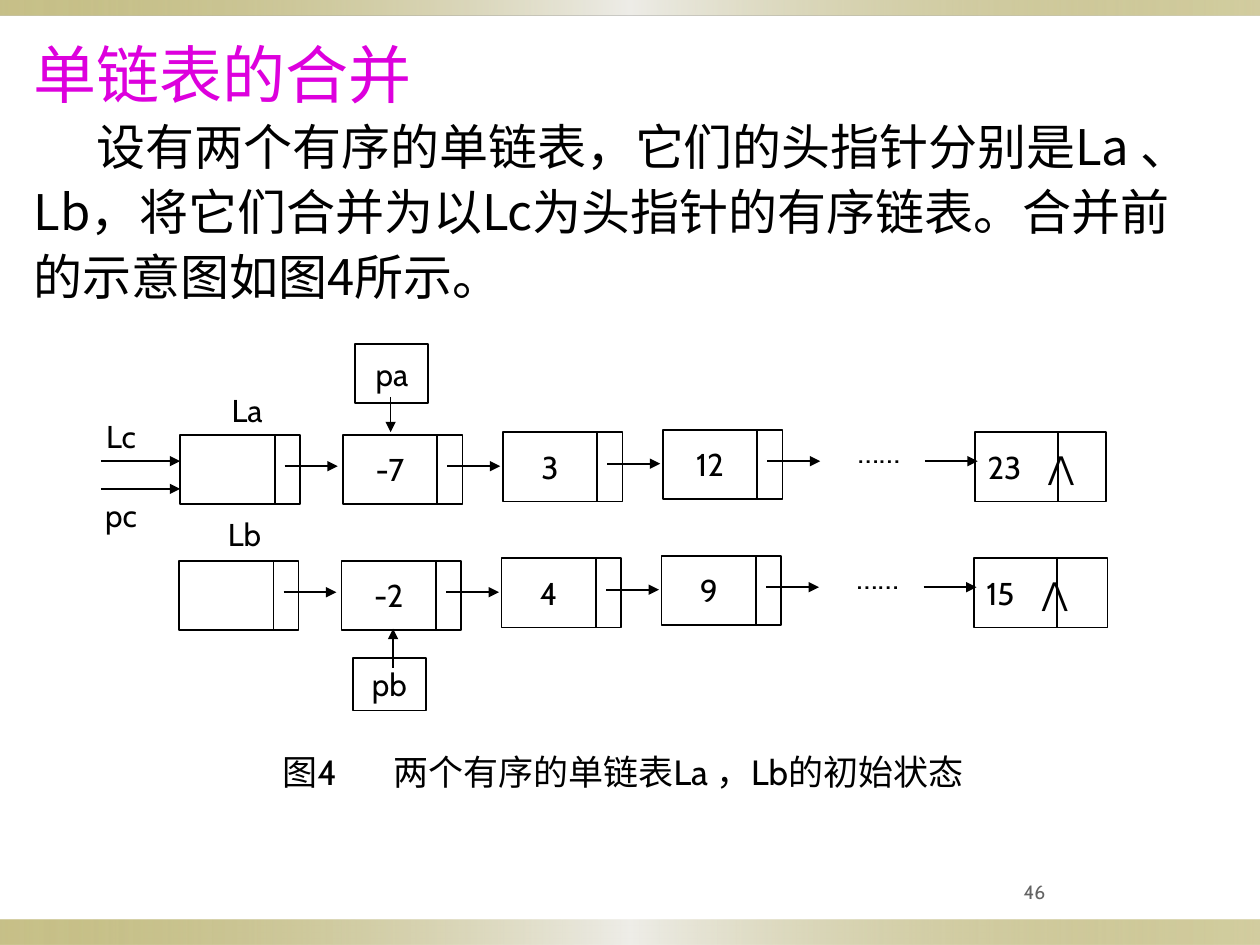
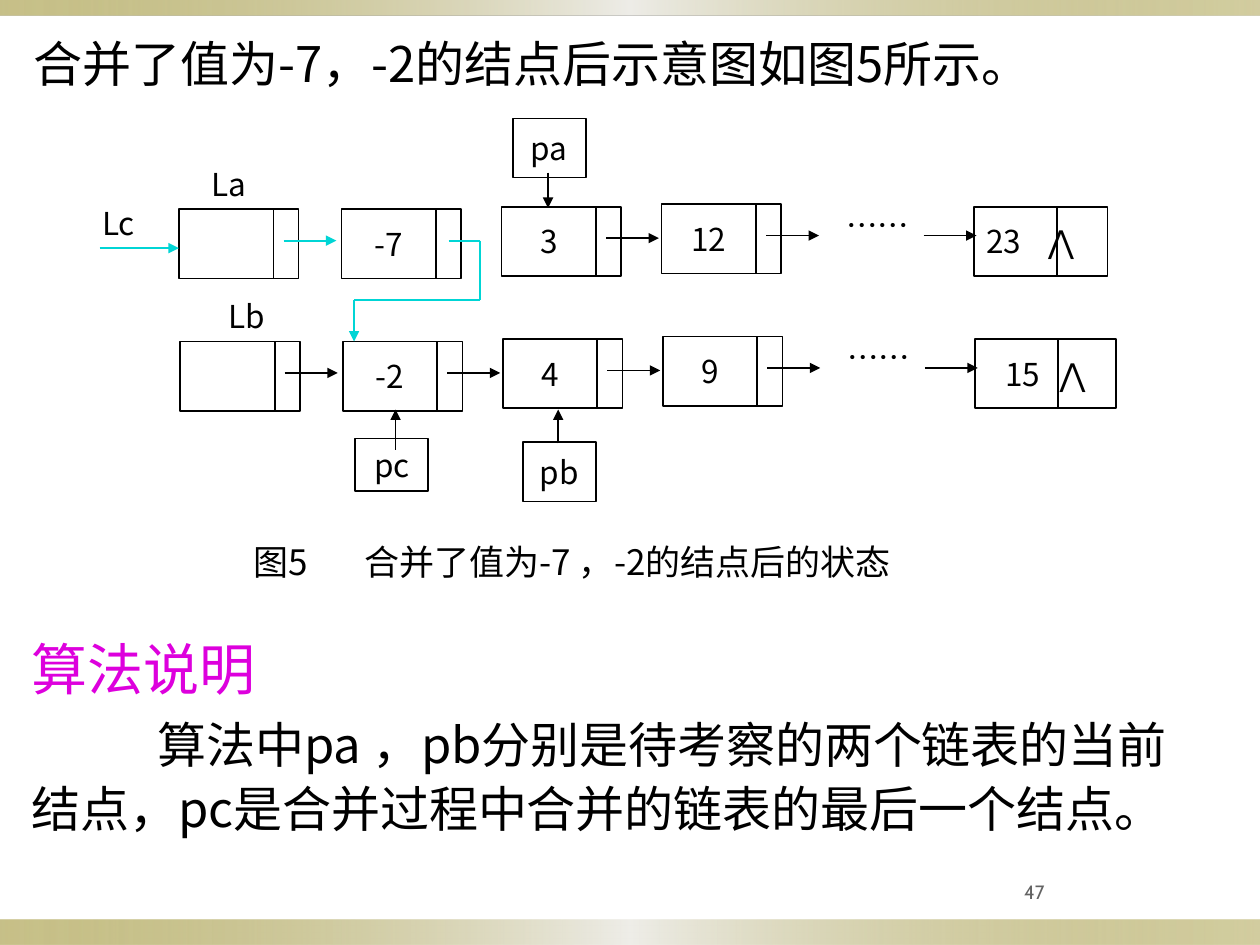
from itertools import pairwise
from lxml import etree
from pptx import Presentation
from pptx.dml.color import RGBColor
from pptx.enum.shapes import MSO_CONNECTOR, MSO_SHAPE
from pptx.enum.text import MSO_ANCHOR, PP_ALIGN
from pptx.oxml import parse_xml
from pptx.oxml.ns import nsdecls, qn
from pptx.util import Inches, Pt

BLACK = RGBColor(0x00, 0x00, 0x00)
MAGENTA = RGBColor(0xDD, 0x00, 0xDD)
CYAN = RGBColor(0x00, 0xD5, 0xD5)
GREY = RGBColor(0x63, 0x63, 0x63)
BAND_STOPS = [(0, "918415", 50), (50, "EEEDE8", 100), (100, "918415", 40)]
CJK, LATIN = "Noto Sans CJK SC", "Cabin"

# Paragraphs: text, size, colour, first-line indent, space before
# Lists: head corner, values, (last value, its indent, tab to the end mark), last width, link colours
# Labels and pointers: text, box; lines: points, colour
SLIDES = [
    dict(
        page="46", font=LATIN,
        texts=[((0.17, 0.17, 9.58, 2.42), [
            ("单链表的合并", 36, MAGENTA, 0, 4),
            ("设有两个有序的单链表，它们的头指针分别是La 、 Lb，将它们合并为以Lc为头指针的有序链表。"
             "合并前的示意图如图4所示。", 28, BLACK, 0.5, 0)])],
        caption=((2, 5.88, 6.15, 0.49), "图4\t两个有序的单链表La ，Lb的初始状态"),
        lists=[
            ((1.43, 3.45), ["", "-7", "3", "12"], ("23", 0.1, 0.48), 1.04, [BLACK] * 4),
            ((1.42, 4.45), ["", "-2", "4", "9"], ("15", 0.1, 0.44), 1.06, [BLACK] * 4),
        ],
        labels=[("La", (1.5, 3, 0.92, 0.5)), ("Lb", (1.48, 3.99, 0.92, 0.5)),
                ("Lc", (0.67, 3.25, 0.58, 0.42)), ("pc", (0.67, 3.88, 0.58, 0.42))],
        pointers=[("pa", (2.82, 2.73, 0.58, 0.47)), ("pb", (2.8, 5.22, 0.58, 0.42))],
        lines=[
            ([(0.8, 3.66), (1.43, 3.66)], BLACK),
            ([(0.8, 3.88), (1.43, 3.88)], BLACK),
            ([(3.1, 3.15), (3.1, 3.43)], BLACK),
            ([(3.12, 5.3), (3.12, 4.99)], BLACK),
        ],
    ),
    dict(
        page="47", font=CJK,
        texts=[
            ((0.17, 0.17, 9.58, 0.67), [
                ("合并了值为-7，-2的结点后示意图如图5所示。", 28, BLACK, 0, 4)]),
            ((0.15, 4.93, 9.58, 1.81), [
                ("算法说明", 32, MAGENTA, 0, 4),
                ("算法中pa ，pb分别是待考察的两个链表的当前结点，"
                 "pc是合并过程中合并的链表的最后一个结点。", 28, BLACK, 1, 4)])],
        caption=((1.77, 4.22, 5.83, 0.47), "图5\t合并了值为-7 ，-2的结点后的状态"),
        lists=[
            ((1.42, 1.66), ["", "-7", "3", "12"], ("23", 0.1, 0.49), 1.06,
             [CYAN, None, BLACK, BLACK]),
            ((1.43, 2.71), ["", "-2", "4", "9"], ("15", 0.24, 0.43), 1.12, [BLACK] * 4),
        ],
        labels=[("La", (1.48, 1.21, 0.68, 0.5)), ("Lb", (1.5, 2.26, 0.92, 0.5)),
                ("Lc", (0.65, 1.56, 0.58, 0.42))],
        pointers=[("pa", (4.07, 0.94, 0.58, 0.47)), ("pc", (2.82, 3.48, 0.58, 0.42)),
                  ("pb", (4.15, 3.51, 0.58, 0.47))],
        lines=[
            ([(0.79, 1.97), (1.42, 1.97)], CYAN),
            ([(3.56, 1.91), (3.81, 1.91), (3.81, 2.38), (2.81, 2.38), (2.81, 2.71)], CYAN),
            ([(4.35, 1.37), (4.35, 1.65)], BLACK),
            ([(3.14, 3.57), (3.14, 3.25)], BLACK),
            ([(4.43, 3.52), (4.43, 3.25)], BLACK),
        ],
    ),
]

NODE_W, NODE_H, DATA_W = 0.95, 0.55, 0.75
FIRST_STEP, STEP = 1.29, 1.27
NODE_RISE = [0, 0, 0.02, 0.04]


def inches(values):
    return [Inches(v) for v in values]


def add_run(p, text, size, color, font, east=None):
    r = p.add_run()
    r.text = text
    r.font.size, r.font.name, r.font.color.rgb = Pt(size), font, color
    ea = etree.SubElement(r.font._element, qn("a:ea"))
    ea.set("typeface", east or font)


def set_frame(sp, insets=(0, 0, 0, 0), anchor=MSO_ANCHOR.MIDDLE):
    tf = sp.text_frame
    tf.word_wrap, tf.vertical_anchor = True, anchor
    tf.margin_left, tf.margin_top, tf.margin_right, tf.margin_bottom = inches(insets)
    return tf


def add_tab_stop(p, position):
    stops = etree.SubElement(p._p.get_or_add_pPr(), qn("a:tabLst"))
    etree.SubElement(stops, qn("a:tab"), pos=str(Inches(position)), algn="l")


def add_box(s, at, outlined=True):
    if not outlined:
        return s.shapes.add_textbox(*inches(at))
    sp = s.shapes.add_shape(MSO_SHAPE.RECTANGLE, *inches(at))
    sp.shadow.inherit = False
    sp.fill.background()
    sp.line.color.rgb, sp.line.width = BLACK, Pt(1)
    return sp


def add_centred(s, at, text, font, size=18, color=BLACK, outlined=False, right=0):
    """Centre text in the box, short of a strip of width `right`."""
    sp = add_box(s, at, outlined)
    p = set_frame(sp, (0, 0, right, 0)).paragraphs[0]
    p.alignment = PP_ALIGN.CENTER
    if text:
        add_run(p, text, size, color, font)


def add_tabbed(sp, text, inset, tab, size, font, east):
    p = set_frame(sp, (inset, 0.05, 0, 0.05)).paragraphs[0]
    p.alignment = PP_ALIGN.LEFT
    add_tab_stop(p, tab)
    add_run(p, text, size, BLACK, font, east)


def add_line(s, points, color=BLACK, arrow=True):
    """Join the points; the last segment carries the arrowhead."""
    for start, end in pairwise(points):
        c = s.shapes.add_connector(MSO_CONNECTOR.STRAIGHT, *inches(start + end))
        c.line.color.rgb, c.line.width = color, Pt(1)
        if arrow and end == points[-1]:
            etree.SubElement(c.line._get_or_add_ln(), qn("a:tailEnd"), type="triangle")
        etree.SubElement(c._element.spPr, qn("a:effectLst"))


def add_band(s, top, height):
    sp = add_box(s, (0, top, 10, height))
    sp.line.fill.background()
    stops = "".join(
        f'<a:gs pos="{pos * 1000}"><a:srgbClr val="{rgb}">'
        f'<a:alpha val="{alpha * 1000}"/></a:srgbClr></a:gs>'
        for pos, rgb, alpha in BAND_STOPS)
    spPr = sp._element.spPr
    spPr.replace(spPr.find(qn("a:noFill")), parse_xml(
        f'<a:gradFill {nsdecls("a")} rotWithShape="1"><a:gsLst>{stops}</a:gsLst>'
        '<a:lin ang="0" scaled="0"/></a:gradFill>'))


def add_text(s, at, paragraphs):
    tf = set_frame(s.shapes.add_textbox(*inches(at)), (0.1, 0.05, 0.1, 0.05), MSO_ANCHOR.TOP)
    for i, (text, size, color, indent, before) in enumerate(paragraphs):
        p = tf.add_paragraph() if i else tf.paragraphs[0]
        p.line_spacing, p.space_before = 1.1, Pt(before)
        if indent:
            p._p.get_or_add_pPr().set("indent", str(Inches(indent)))
        add_run(p, text, size, color, CJK)


def add_divider(s, x, y):
    add_line(s, [(x, y), (x, y + NODE_H)], arrow=False)


def add_linked_list(s, font, corner, values, last, last_w, link_colors):
    x0, y0 = corner
    for i, (value, rise, color) in enumerate(zip(values, NODE_RISE, link_colors)):
        x = x0 + FIRST_STEP + (i - 1) * STEP if i else x0
        y = y0 - rise
        add_centred(s, (x, y, NODE_W, NODE_H), value, font,
                    outlined=True, right=NODE_W - DATA_W)
        add_divider(s, x + DATA_W, y)
        if color is not None:
            add_line(s, [(x + 0.83, y + 0.25), (x + 1.25, y + 0.25)], color)
    add_centred(s, (x0 + 5.12, y0 - 0.15, NODE_W, NODE_H), "……", font, right=0.1)
    add_line(s, [(x0 + 5.91, y0 + 0.21), (x0 + 6.33, y0 + 0.21)])

    value, inset, tab = last
    x, y = x0 + 6.31, y0 - 0.02
    add_tabbed(add_box(s, (x, y, last_w, NODE_H)), f"{value}\t⋀", inset, tab, 18, font, font)
    add_divider(s, x + 0.66, y)


def build_slide(prs, d):
    s = prs.slides.add_slide(prs.slide_layouts[6])
    add_band(s, 7.3, 0.2)
    add_band(s, 0, 0.12)
    for at, paragraphs in d["texts"]:
        add_text(s, at, paragraphs)
    at, caption = d["caption"]
    add_tabbed(add_box(s, at, outlined=False), caption, 0.24, 0.88, 20, d["font"], CJK)
    for linked_list in d["lists"]:
        add_linked_list(s, d["font"], *linked_list)
    for text, at in d["labels"]:
        add_centred(s, at, text, d["font"])
    for text, at in d["pointers"]:
        add_centred(s, at, text, d["font"], outlined=True)
    for points, color in d["lines"]:
        add_line(s, points, color)
    add_centred(s, (7.17, 6.83, 2.08, 0.5), d["page"], LATIN, 11, GREY)


def main():
    prs = Presentation()
    prs.slide_width, prs.slide_height = Inches(10), Inches(7.5)
    for d in SLIDES:
        build_slide(prs, d)
    prs.save("out.pptx")


if __name__ == "__main__":
    main()
